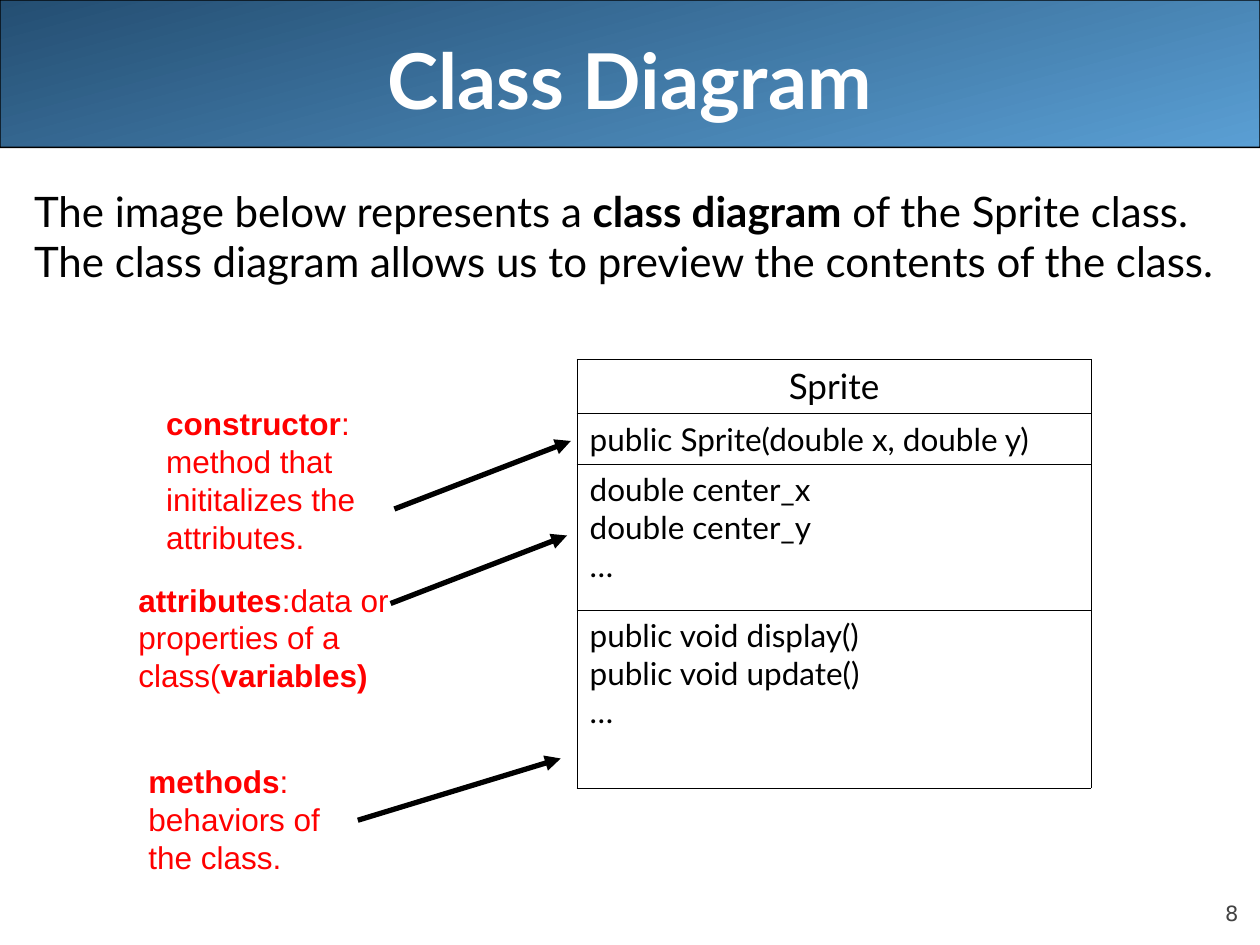
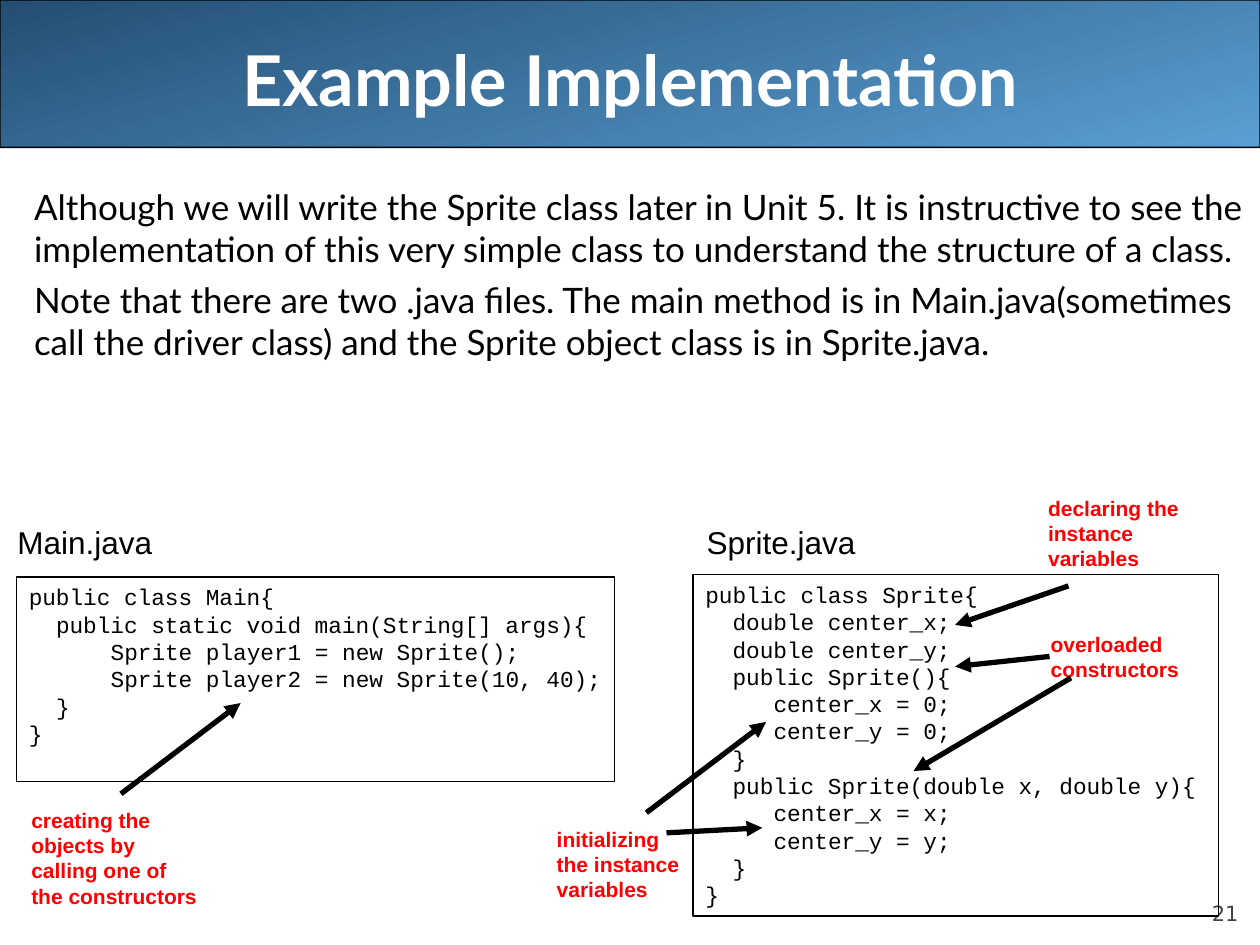
from lxml import etree
from pptx import Presentation
from pptx.dml.color import RGBColor
from pptx.enum.shapes import MSO_CONNECTOR, MSO_SHAPE
from pptx.enum.text import MSO_ANCHOR, MSO_AUTO_SIZE, PP_ALIGN
from pptx.oxml.ns import qn
from pptx.util import Inches, Pt

LEFT, CENTER, RIGHT = PP_ALIGN.LEFT, PP_ALIGN.CENTER, PP_ALIGN.RIGHT
TOP, MIDDLE, BOTTOM = MSO_ANCHOR.TOP, MSO_ANCHOR.MIDDLE, MSO_ANCHOR.BOTTOM
NO_AUTOFIT = MSO_AUTO_SIZE.NONE
RECTANGLE, ROUNDED = MSO_SHAPE.RECTANGLE, MSO_SHAPE.ROUNDED_RECTANGLE
STRAIGHT = MSO_CONNECTOR.STRAIGHT

BLACK, WHITE, RED, GRAY = "000000", "FFFFFF", "FF0000", "424242"
BAND_DARK, BAND_LIGHT = "244E72", "5A9FD4"
MAIN_FONT, LABEL_FONT, CODE_FONT, NUMBER_FONT = "Lato", "Arial", "Courier New", "DejaVu Sans"
LINE_HEIGHT = 1.2
CODE_SIZE = 13
CODE_CHARACTER = 0.6 * CODE_SIZE / 72  # width of one character, in inches

# Each code line is its indent in characters and its text
MAIN_CODE = [
    (0, "public class Main{"),
    (2, "public static void main(String[] args){"),
    (6, "Sprite player1 = new Sprite();"),
    (6, "Sprite player2 = new Sprite(10, 40);"),
    (2, "}"),
    (0, "}"),
]
SPRITE_CODE = [
    (0, "public class Sprite{"),
    (2, "double center_x;"),
    (2, "double center_y;"),
    (2, "public Sprite(){"),
    (5, "center_x = 0;"),
    (5, "center_y = 0;"),
    (2, "}"),
    (2, "public Sprite(double x, double y){"),
    (5, "center_x = x;"),
    (5, "center_y = y;"),
    (2, "}"),
    (0, "}"),
]


def rgb(color):
    return RGBColor.from_string(color)


def box(left, top, width, height):
    return Inches(left), Inches(top), Inches(width), Inches(height)


def write_text(frame, text, size=18, font=MAIN_FONT, color=BLACK, bold=False,
               align=LEFT, space_before=0, indents=None):
    """Newlines part paragraphs; ** switches bold on and off."""
    for index, line in enumerate(text.split("\n")):
        paragraph = frame.add_paragraph() if index else frame.paragraphs[0]
        paragraph.alignment = align
        paragraph.line_spacing = Pt(size * LINE_HEIGHT)
        paragraph.space_before = Pt(space_before)
        properties = paragraph._p.get_or_add_pPr()
        properties.set("marL", str(Inches(indents[index] if indents else 0)))
        properties.set("indent", "0")
        etree.SubElement(properties, qn("a:buNone"))
        for part_index, part in enumerate(line.split("**")):
            if part:
                run = paragraph.add_run()
                run.text = part
                run.font.name = font
                run.font.size = Pt(size)
                run.font.bold = bold or part_index % 2 == 1
                run.font.color.rgb = rgb(color)


def set_frame(frame, anchor=TOP, wrap=True):
    frame.word_wrap = wrap
    frame.auto_size = NO_AUTOFIT
    frame.vertical_anchor = anchor


def place(shape, left, top, width, height):
    shape.left, shape.top, shape.width, shape.height = box(left, top, width, height)


def add_label(slide, text, left, top, width, height, wrap=True, **text_format):
    frame = slide.shapes.add_textbox(*box(left, top, width, height)).text_frame
    set_frame(frame, wrap=wrap)
    write_text(frame, text, font=LABEL_FONT, **text_format)


def add_arrow(slide, start, end):
    connector = slide.shapes.add_connector(
        STRAIGHT, *(Inches(value) for value in start + end))
    connector.line.color.rgb = rgb(BLACK)
    connector.line.width = Pt(3)
    etree.SubElement(connector.line._get_or_add_ln(), qn("a:tailEnd"), type="triangle")
    etree.SubElement(connector._element.spPr, qn("a:effectLst"))


def add_code(slide, lines, left, top, width, height):
    shape = slide.shapes.add_shape(RECTANGLE, *box(left, top, width, height))
    shape.shadow.inherit = False
    shape.fill.background()
    shape.line.color.rgb = rgb(BLACK)
    shape.line.width = Pt(0.75)
    set_frame(shape.text_frame)
    write_text(shape.text_frame, "\n".join(text for _, text in lines),
               size=CODE_SIZE, font=CODE_FONT,
               indents=[count * CODE_CHARACTER for count, _ in lines])


def add_cell_borders(cell):
    properties = cell._tc.get_or_add_tcPr()
    for side in ("lnL", "lnR", "lnT", "lnB"):
        line = etree.SubElement(properties, qn("a:" + side), w=str(Pt(0.45)))
        fill = etree.SubElement(line, qn("a:solidFill"))
        etree.SubElement(fill, qn("a:srgbClr"), val=BLACK)


def add_class_table(slide, rows, left, top, width):
    height = sum(row_height for row_height, _ in rows)
    table = slide.shapes.add_table(len(rows), 1, *box(left, top, width, height)).table
    table.first_row = table.horz_banding = False
    for index, (row_height, text) in enumerate(rows):
        table.rows[index].height = Inches(row_height)
        cell = table.cell(index, 0)
        add_cell_borders(cell)
        cell.fill.background()
        heading = index == 0
        write_text(cell.text_frame, text, size=18 if not heading else 20,
                   align=CENTER if heading else LEFT)


def add_band(slide, layout):
    """Draw the title band and move it to the layout, behind everything."""
    band = slide.shapes.add_shape(ROUNDED, *box(0, 0, 10, 1.17))
    band.adjustments[0] = 0.001
    band.shadow.inherit = False
    band.fill.gradient()
    band.fill.gradient_angle = 285
    for stop, color in zip(band.fill.gradient_stops, (BAND_DARK, BAND_LIGHT)):
        stop.color.rgb = rgb(color)
    band.line.color.rgb = rgb(BLACK)
    band.line.width = Pt(0.75)
    layout.shapes._spTree.insert(2, band._element)


def add_slide(presentation, layout, title, title_size, body, body_size, space_before, number):
    slide = presentation.slides.add_slide(layout)
    heading, content = slide.shapes.title, slide.placeholders[1]
    place(heading, 0.5, 0, 9, 1.25)
    set_frame(heading.text_frame, MIDDLE)
    write_text(heading.text_frame, title, size=title_size, color=WHITE, bold=True, align=CENTER)
    place(content, 0.17, 1.42, 9.83, 6.08)
    set_frame(content.text_frame)
    write_text(content.text_frame, body, size=body_size, space_before=space_before)

    # Slide number
    frame = slide.shapes.add_textbox(*box(9, 6.95, 0.83, 0.4)).text_frame
    set_frame(frame, BOTTOM)
    frame.margin_left = frame.margin_right = frame.margin_top = frame.margin_bottom = 0
    write_text(frame, number, size=12, font=NUMBER_FONT, color=GRAY, align=RIGHT)
    return slide


def build_class_diagram(presentation, layout):
    slide = add_slide(
        presentation, layout, "Class Diagram", 44,
        "The image below represents a **class diagram** of the Sprite class. "
        "The class diagram allows us to preview the contents of the class.", 24, 6, "8")
    add_class_table(slide, [
        (0.43, "Sprite"),
        (0.4, "public Sprite(double x, double y)"),
        (1.16, "double center_x\ndouble center_y\n…"),
        (1.41, "public void display()\npublic void update()\n…"),
    ], 4.58, 2.85, 4.08)

    # Explanations of the table rows
    for text, *position in [
        ("**constructor**: method that inititalizes the attributes.", 1.22, 3.16, 1.81, 1.3),
        ("**attributes**:data or properties of a class(**variables)**", 1, 4.56, 2.22, 1),
        ("**methods**: behaviors of the class.", 1.08, 6, 1.88, 1),
    ]:
        add_label(slide, text, *position, color=RED)
    for start, end in [((3.13, 4.04), (4.53, 3.5)),
                       ((3.1, 4.79), (4.5, 4.25)),
                       ((2.84, 6.51), (4.45, 6.02))]:
        add_arrow(slide, start, end)
    return slide


def build_example(presentation, layout):
    slide = add_slide(
        presentation, layout, "Example Implementation", 40,
        "Although we will write the Sprite class later in Unit 5. It is instructive to see the "
        "implementation of this very simple class to understand the structure of a class.\n"
        "Note that there are two .java files. The main method is in Main.java(sometimes call "
        "the driver class) and the Sprite object class is in Sprite.java.", 20, 5, "21")

    # Code listings with their file names
    add_code(slide, MAIN_CODE, 0.13, 4.58, 4.75, 1.62)
    add_code(slide, SPRITE_CODE, 5.5, 4.56, 4.17, 2.71)
    add_label(slide, "Main.java", 0.04, 4.1, 1.27, 0.4, wrap=False)
    add_label(slide, "Sprite.java", 5.51, 4.1, 1.38, 0.4, wrap=False)

    # Notes on the code
    for text, *position in [
        ("overloaded constructors", 8.24, 4.96, 1.28, 0.5),
        ("declaring the instance variables", 8.22, 3.88, 1.28, 0.7),
        ("initializing the instance variables", 4.32, 6.51, 1.28, 0.7),
        ("creating the objects by calling one of the constructors", 0.15, 6.36, 1.52, 0.9),
    ]:
        add_label(slide, text, *position, size=12, color=RED, bold=True)
    for start, end in [((8.33, 5.21), (7.58, 5.29)),
                       ((8.5, 5.38), (7.25, 6.12)),
                       ((8.48, 4.65), (7.58, 4.96)),
                       ((5.13, 6.45), (6.08, 5.73)),
                       ((5.29, 6.61), (6.05, 6.57)),
                       ((0.96, 6.3), (1.91, 5.58))]:
        add_arrow(slide, start, end)


def main():
    presentation = Presentation()
    presentation.slide_width, presentation.slide_height = Inches(10), Inches(7.5)
    layout = presentation.slide_layouts[1]
    first_slide = build_class_diagram(presentation, layout)
    add_band(first_slide, layout)
    build_example(presentation, layout)
    presentation.save("out.pptx")


if __name__ == "__main__":
    main()
